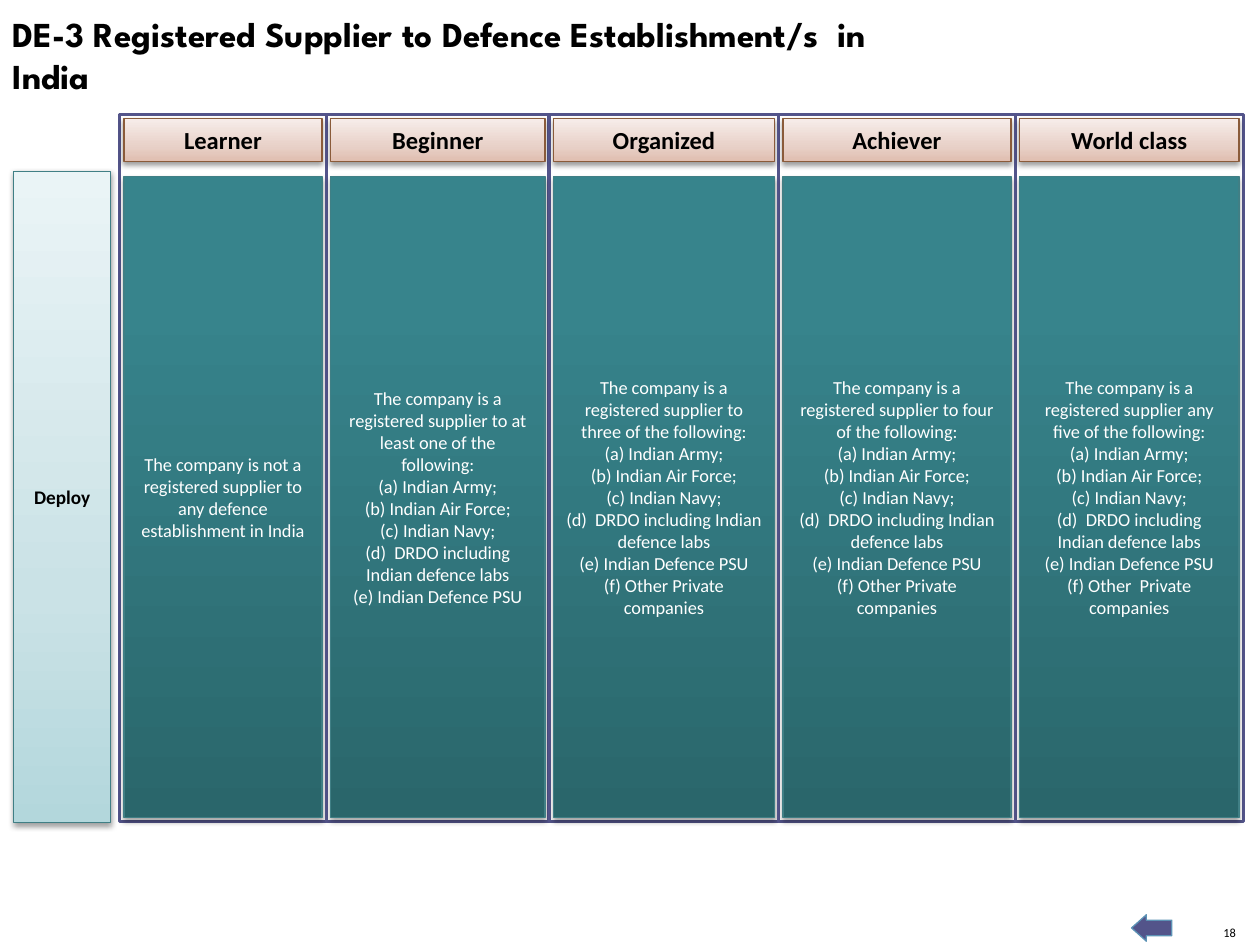
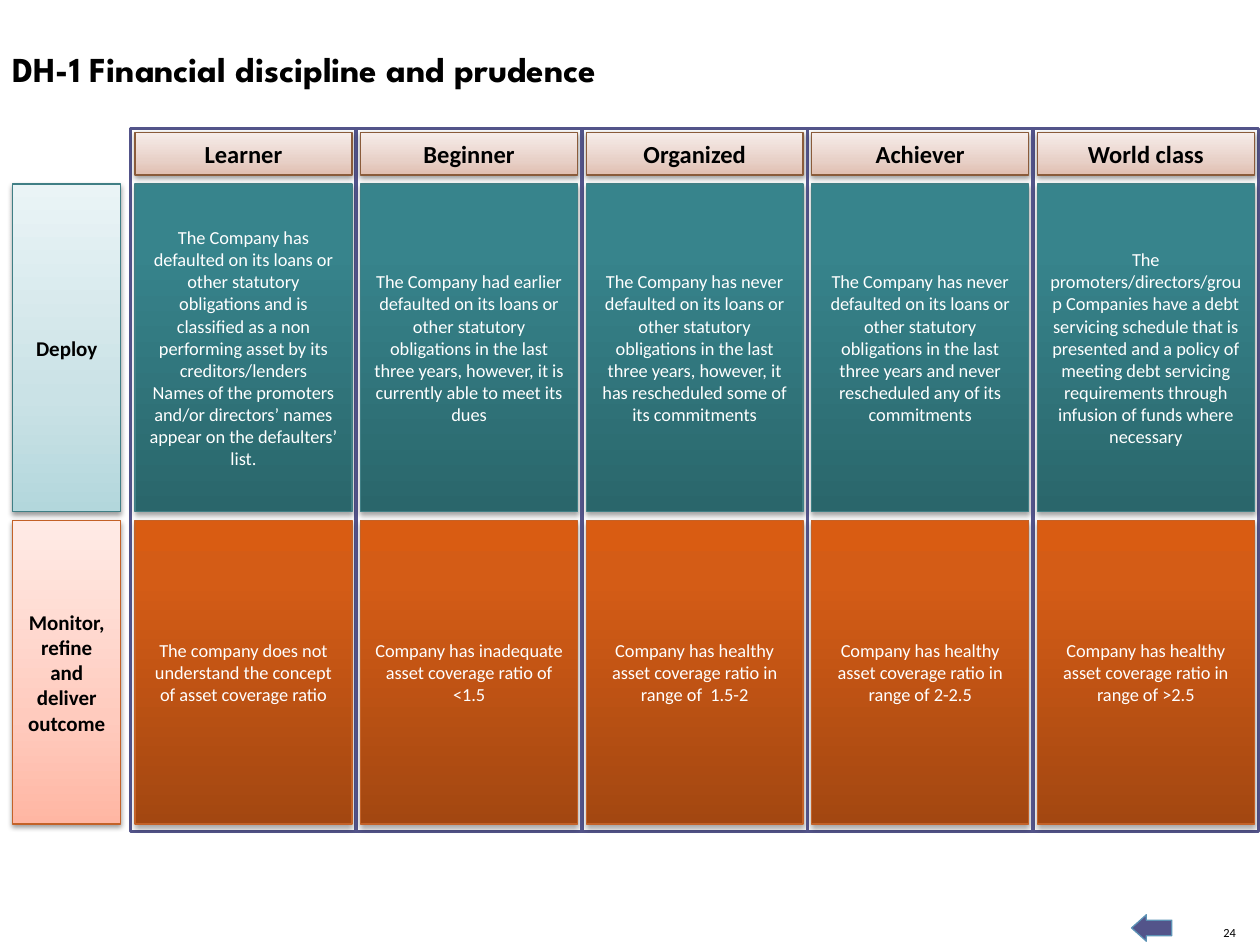
from copy import deepcopy
from dataclasses import dataclass
from typing import NamedTuple

from lxml import etree
from pptx import Presentation
from pptx import util as u
from pptx.dml.color import RGBColor
from pptx.enum import shapes, text
from pptx.oxml import ns


class Box(NamedTuple):
    x: float
    y: float
    w: float
    h: float


class Tint(NamedTuple):
    stops: tuple
    line: str
    ink: str
    alpha: int
    drop: float


@dataclass(frozen=True)
class Theme:
    head = Tint(((0, "E0BEB0"), (0.35, "E8D1C8"), (1, "F7EDEA")), "8A5B3A", "000000", 38, 1.6)
    teal = Tint(((0, "2A666B"), (0.8, "37848C"), (1, "36868E")), "407F85", "FFFFFF", 35, 1.8)
    rust = Tint(((0, "A34711"), (0.8, "D45C16"), (1, "D95C12")), "C36228", "FFFFFF", 35, 1.8)
    pale = Tint(((0, "B3D7DC"), (0.35, "CAE2E6"), (1, "EAF4F6")), "407F85", "000000", 38, 1.6)
    blush = Tint(((0, "FFB6A3"), (0.35, "FFCBBE"), (1, "FFEBE6")), "C36228", "000000", 38, 1.6)
    white: str = "FFFFFF"
    black: str = "000000"
    violet: str = "53548A"
    blue: str = "5C92B5"
    body: str = "Calibri"
    display: str = "League Spartan"
    title: float = 20
    level: float = 14
    cell: float = 10.5
    number: float = 7.1


class Row(NamedTuple):
    label: str
    side: Tint
    tint: Tint
    top: float
    height: float
    cells: list


class Grid(NamedTuple):
    box: Box
    widths: list
    label: tuple
    size: float
    grow: float
    rows: list


T = Theme()
LEVELS = ["Learner", "Beginner", "Organized", "Achiever", "World class"]
HEAD_H = 24.5
PAD = 2.5
FORCES = ["(a) Indian Army;", "(b) Indian Air Force;", "(c) Indian Navy;",
          "(d)  DRDO including Indian defence labs", "(e) Indian Defence PSU"]
OTHERS = "(f) Other Private companies"


def rgb(code):
    return RGBColor.from_string(code)


def pts(box):
    return [u.Pt(v) for v in box]


def style(par, size, ink, bold=False, name=T.body):
    font = par.font
    font.size, font.bold, font.name = u.Pt(size), bold, name
    font.color.rgb = rgb(ink)


def shape(slide, kind, box, line, width, fill=None):
    form = slide.shapes.add_shape(kind, *pts(box))
    form.shadow.inherit = False
    form.line.color.rgb = rgb(line)
    form.line.width = u.Pt(width)
    if fill:
        form.fill.solid()
        form.fill.fore_color.rgb = rgb(fill)
    return form


def shade(form, tint):
    form.fill.gradient()
    form.fill.gradient_angle = 90
    props = form._element.spPr
    stops = props.find(".//" + ns.qn("a:gsLst"))
    stops.insert(1, deepcopy(stops[0]))
    for stop, (place, code) in zip(form.fill.gradient_stops, tint.stops):
        stop.position = place
        stop.color.rgb = rgb(code)
    cast = etree.SubElement(
        props.find(ns.qn("a:effectLst")), ns.qn("a:outerShdw"),
        blurRad=str(u.Pt(3.1)), dist=str(u.Pt(tint.drop)), dir="5400000", rotWithShape="0")
    color = etree.SubElement(cast, ns.qn("a:srgbClr"), val=T.black)
    etree.SubElement(color, ns.qn("a:alpha"), val=str(tint.alpha * 1000))


def panel(slide, box, words, tint, size, bold=False):
    form = shape(slide, shapes.MSO_SHAPE.RECTANGLE, box, tint.line, 0.75)
    shade(form, tint)
    frame = form.text_frame
    frame.word_wrap = True
    frame.vertical_anchor = text.MSO_ANCHOR.MIDDLE
    frame.text = words
    for par in frame.paragraphs:
        par.alignment = text.PP_ALIGN.CENTER
        style(par, size, tint.ink, bold)


def column(slide, box, level, rows, index):
    shape(slide, shapes.MSO_SHAPE.RECTANGLE, box, T.violet, 2, T.white)
    left, width = box.x + PAD, box.w - 2 * PAD
    panel(slide, Box(left, box.y + 2.2, width, HEAD_H), level, T.head, T.level, True)
    for row in rows:
        panel(slide, Box(left, box.y + row.top, width, row.height),
              row.cells[index], row.tint, T.cell)


def board(slide, grid):
    box = grid.box
    left = box.x
    for index, (level, width) in enumerate(zip(LEVELS, grid.widths)):
        column(slide, Box(left, box.y, width, box.h), level, grid.rows, index)
        left += width
    side, width = grid.label
    for row in grid.rows:
        area = Box(side, box.y + row.top - grid.grow, width, row.height + 2 * grid.grow)
        panel(slide, area, row.label, row.side, grid.size, True)


def heading(slide, box, words):
    title = slide.shapes.title
    title.left, title.top, title.width, title.height = pts(box)
    frame = title.text_frame
    frame.word_wrap = True
    frame.auto_size = text.MSO_AUTO_SIZE.NONE
    frame.vertical_anchor = text.MSO_ANCHOR.TOP
    frame.text = words
    par = frame.paragraphs[0]
    par.alignment = text.PP_ALIGN.LEFT
    style(par, T.title, T.black, True, T.display)


def footer(slide, box, number):
    arrow = shape(slide, shapes.MSO_SHAPE.LEFT_ARROW,
                  Box(box.x, box.y, 23, 15.1), T.blue, 0.75, T.violet)
    arrow.adjustments[0], arrow.adjustments[1] = 0.59, 0.56
    size = 8.6
    note = slide.shapes.add_textbox(
        *pts(Box(box.x + box.w - size, box.y + box.h - size, size, size)))
    frame = note.text_frame
    frame.margin_left = frame.margin_right = frame.margin_top = frame.margin_bottom = 0
    frame.word_wrap = False
    frame.vertical_anchor = text.MSO_ANCHOR.BOTTOM
    frame.text = str(number)
    par = frame.paragraphs[0]
    par.alignment = text.PP_ALIGN.RIGHT
    style(par, T.number, T.black)


def page(deck, words, area, number, grid):
    slide = deck.slides.add_slide(deck.slide_layouts[5])
    heading(slide, area, words)
    board(slide, grid)
    footer(slide, Box(646.6, 522.7, 59.7, 14.4), number)


def supply(count, items):
    return "\n".join([f"The company is a registered supplier {count} of the following:", *items])


def main():
    deck = Presentation()
    deck.slide_width, deck.slide_height = u.Pt(720), u.Pt(540)

    supplier = Row("Deploy", T.pale, T.teal, 35.3, 366.5, [
        "The company is not a registered supplier to any defence establishment in India",
        supply("to at least one", FORCES),
        supply("to three", FORCES + [OTHERS]),
        supply("to four", FORCES + [OTHERS]),
        supply("any five", FORCES + ["(f) Other  Private companies"]),
    ])
    page(deck, "DE-3 Registered Supplier to Defence Establishment/s  in India",
         Box(0, 3.6, 537.8, 55.4), 18,
         Grid(Box(68.4, 65.5, 642.1, 404), [118.1, 127.4, 131, 135.3, 130.3],
              (7.9, 55.4), 11, 2.9, [supplier]))

    never = ("The Company has never defaulted on its loans or other statutory "
             "obligations in the last three years")
    healthy = "Company has healthy asset coverage ratio in range of "
    debt = Row("Deploy", T.pale, T.teal, 31.7, 187.2, [
        "The Company has defaulted on its loans or other statutory obligations and is "
        "classified as a non performing asset by its creditors/lenders\n"
        "Names of the promoters and/or directors’ names appear on the defaulters’ list.",
        "The Company had earlier defaulted on its loans or other statutory obligations "
        "in the last three years, however, it is currently able to meet its dues",
        never + ", however, it has rescheduled some of its commitments",
        never + " and never rescheduled any of its commitments",
        "The promoters/directors/group Companies have a debt servicing schedule that is "
        "presented and a policy of meeting debt servicing requirements through infusion "
        "of funds where necessary",
    ])
    ratio = Row("Monitor, refine and deliver outcome", T.blush, T.rust, 224, 173.5, [
        "The company does not understand the concept of asset coverage ratio",
        "Company has inadequate asset coverage ratio of <1.5",
        healthy + " 1.5-2",
        healthy + "2-2.5",
        healthy + ">2.5",
    ])
    page(deck, "DH-1 Financial discipline and prudence", Box(0, 23.8, 619.2, 31.7), 24,
         Grid(Box(74.7, 73.4, 644.5, 401.8), [128.9] * len(LEVELS),
              (7.2, 61.9), 12, 0, [debt, ratio]))

    deck.save("out.pptx")


if __name__ == "__main__":
    main()
